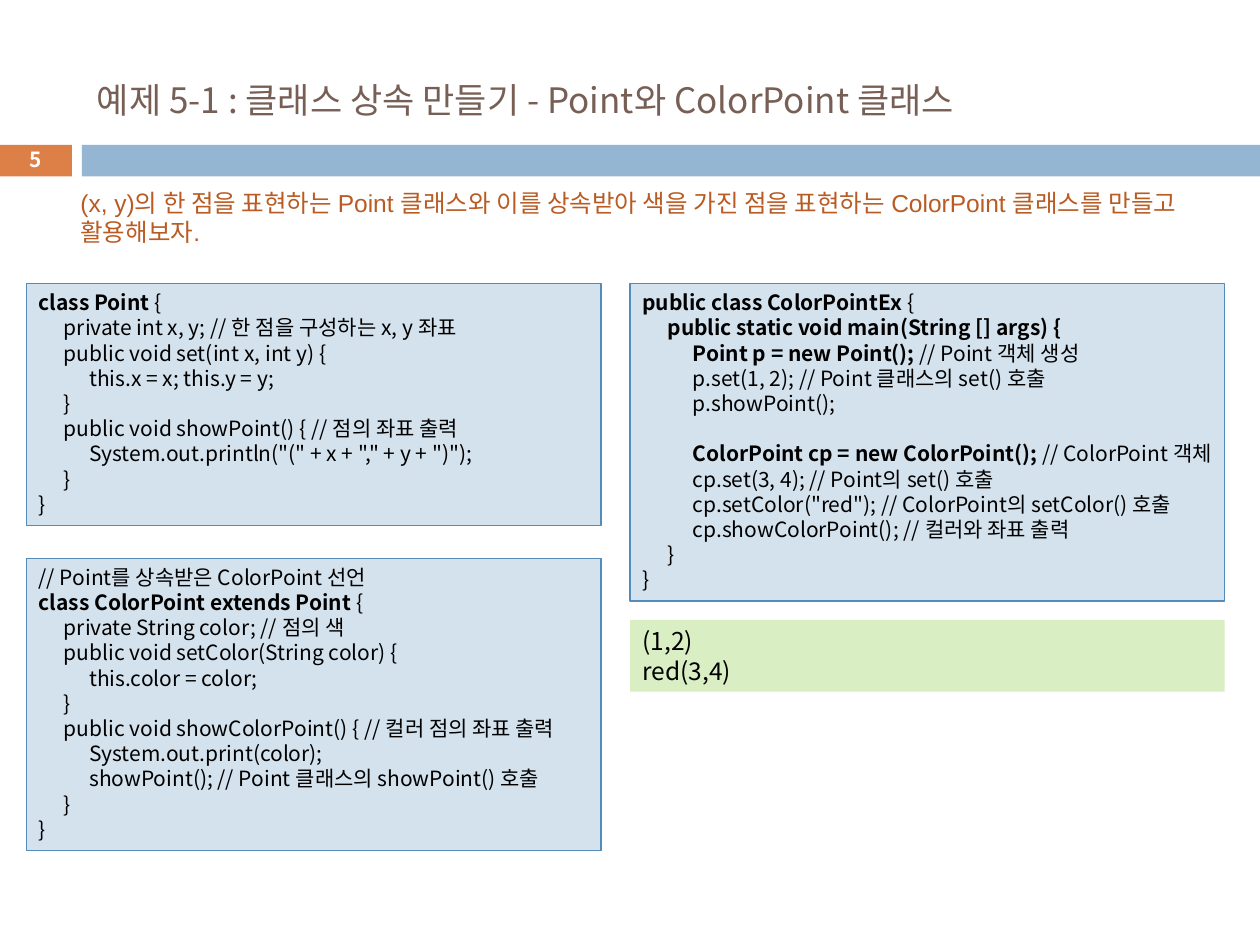
from dataclasses import dataclass

import pptx
import pptx.dml.color
import pptx.enum.shapes
import pptx.enum.text
import pptx.oxml
import pptx.oxml.ns
import pptx.util
from lxml import etree
from pptx.util import Inches


@dataclass(frozen=True)
class Theme:
    font: str = "Noto Sans CJK KR"
    body_font: str = "Arial"
    title: str = "775F55"
    intro: str = "B95B22"
    code: str = "000000"
    white: str = "FFFFFF"
    orange: str = "DD8047"
    blue: str = "94B6D2"
    code_fill: str = "D4E2ED"
    code_line: str = "558BB8"
    output_fill: str = "DAEEC4"
    title_size: float = 20
    body_size: float = 14
    code_size: float = 12
    number_size: float = 11.9
    line_height: float = 1.2


theme = Theme()
rgb = pptx.dml.color.RGBColor.from_string
qn = pptx.oxml.ns.qn
anchor = pptx.enum.text.MSO_ANCHOR

presentation = pptx.Presentation()
presentation.slide_width = Inches(10)
presentation.slide_height = Inches(7.5)
slide = presentation.slides.add_slide(presentation.slide_layouts[6])


def add_box(left, top, width, height, fill=None, line=None):
    """Add a rectangle, or a text box when there is no fill."""
    place = [Inches(length) for length in (left, top, width, height)]
    if fill is None:
        return slide.shapes.add_textbox(*place)
    shape = slide.shapes.add_shape(pptx.enum.shapes.MSO_SHAPE.RECTANGLE, *place)
    shape.shadow.inherit = False
    shape.fill.solid()
    shape.fill.fore_color.rgb = rgb(fill)
    if line:
        shape.line.color.rgb = rgb(line)
        shape.line.width = pptx.util.Pt(0.75)
    else:
        shape.line.fill.background()
    return shape


def write(shape, text, size, color, font=theme.font, vertical=anchor.TOP, align="LEFT"):
    """Write one paragraph per line; asterisks enclose bold text."""
    frame = shape.text_frame
    frame.word_wrap = True
    frame.vertical_anchor = vertical
    for index, line in enumerate(text.split("\n")):
        paragraph = frame.paragraphs[0] if index == 0 else frame.add_paragraph()
        paragraph.alignment = pptx.enum.text.PP_ALIGN[align]
        paragraph.line_spacing = pptx.util.Pt(round(size * theme.line_height, 1))
        if "\t" in line:
            tabs = etree.SubElement(paragraph._p.get_or_add_pPr(), qn("a:tabLst"))
            for stop in (0.2, 0.4):
                etree.SubElement(tabs, qn("a:tab"), pos=str(Inches(stop)), algn="l")
        for part_index, part in enumerate(line.split("*")):
            if not part:
                continue
            run = paragraph.add_run()
            run.text = part
            run.font.size = pptx.util.Pt(size)
            run.font.bold = part_index % 2 == 1
            run.font.color.rgb = rgb(color)
            run.font.name = font
            etree.SubElement(run._r.get_or_add_rPr(), qn("a:ea"), typeface=theme.font)


# Header
add_box(-0.01, 1.15, 0.58, 0.25, theme.orange)
add_box(0.65, 1.15, 9.35, 0.25, theme.blue)
write(add_box(0.67, 0.25, 8.92, 1.08),
      "예제 5-1 : 클래스 상속 만들기 - Point와 ColorPoint 클래스",
      theme.title_size, theme.title, vertical=anchor.MIDDLE)
write(add_box(-0.01, 1.13, 0.58, 0.27), "*5*", theme.number_size, theme.white,
      vertical=anchor.MIDDLE, align="CENTER")
write(add_box(0.54, 1.44, 9, 0.57),
      "(x, y)의 한 점을 표현하는 Point 클래스와 이를 상속받아 색을 가진 점을 표현하는 "
      "ColorPoint 클래스를 만들고 활용해보자.",
      theme.body_size, theme.intro, theme.body_font)

# Code listings
main_code = """*public class ColorPointEx *{
\t*public static void main(String [] args) {*
\t\t*Point p = new Point(); *// Point 객체 생성
\t\tp.set(1, 2); // Point 클래스의 set() 호출
\t\tp.showPoint();

\t\t*ColorPoint cp = new ColorPoint();* // ColorPoint 객체
\t\tcp.set(3, 4); // Point의 set() 호출
\t\tcp.setColor("red"); // ColorPoint의 setColor() 호출
\t\tcp.showColorPoint(); // 컬러와 좌표 출력
\t}
}"""
point_code = """*class Point *{
\tprivate int x, y; // 한 점을 구성하는 x, y 좌표
\tpublic void set(int x, int y) {
\t\tthis.x = x; this.y = y;
\t}
\tpublic void showPoint() { // 점의 좌표 출력
\t\tSystem.out.println("(" + x + "," + y + ")");
\t}
}"""
color_point_code = """// Point를 상속받은 ColorPoint 선언
*class ColorPoint extends Point *{
\tprivate String color; // 점의 색
\tpublic void setColor(String color) {
\t\tthis.color = color;
\t}
\tpublic void showColorPoint() { // 컬러 점의 좌표 출력
\t\tSystem.out.print(color);
\t\tshowPoint(); // Point 클래스의 showPoint() 호출
\t}
}"""
listings = [
    ((5, 2.25, 4.72, 2.52), main_code),
    ((0.21, 2.25, 4.56, 1.92), point_code),
    ((0.21, 4.43, 4.56, 2.32), color_point_code),
]
for place, code in listings:
    listing = add_box(*place, theme.code_fill, theme.code_line)
    # The longest code line needs the full width to stay on one line
    listing.text_frame.margin_right = Inches(0)
    write(listing, code, theme.code_size, theme.code)

# Program output
output = add_box(5, 4.92, 4.72, 0.57, theme.output_fill)
write(output, "(1,2)\nred(3,4)", theme.body_size, theme.code)

presentation.save("out.pptx")
